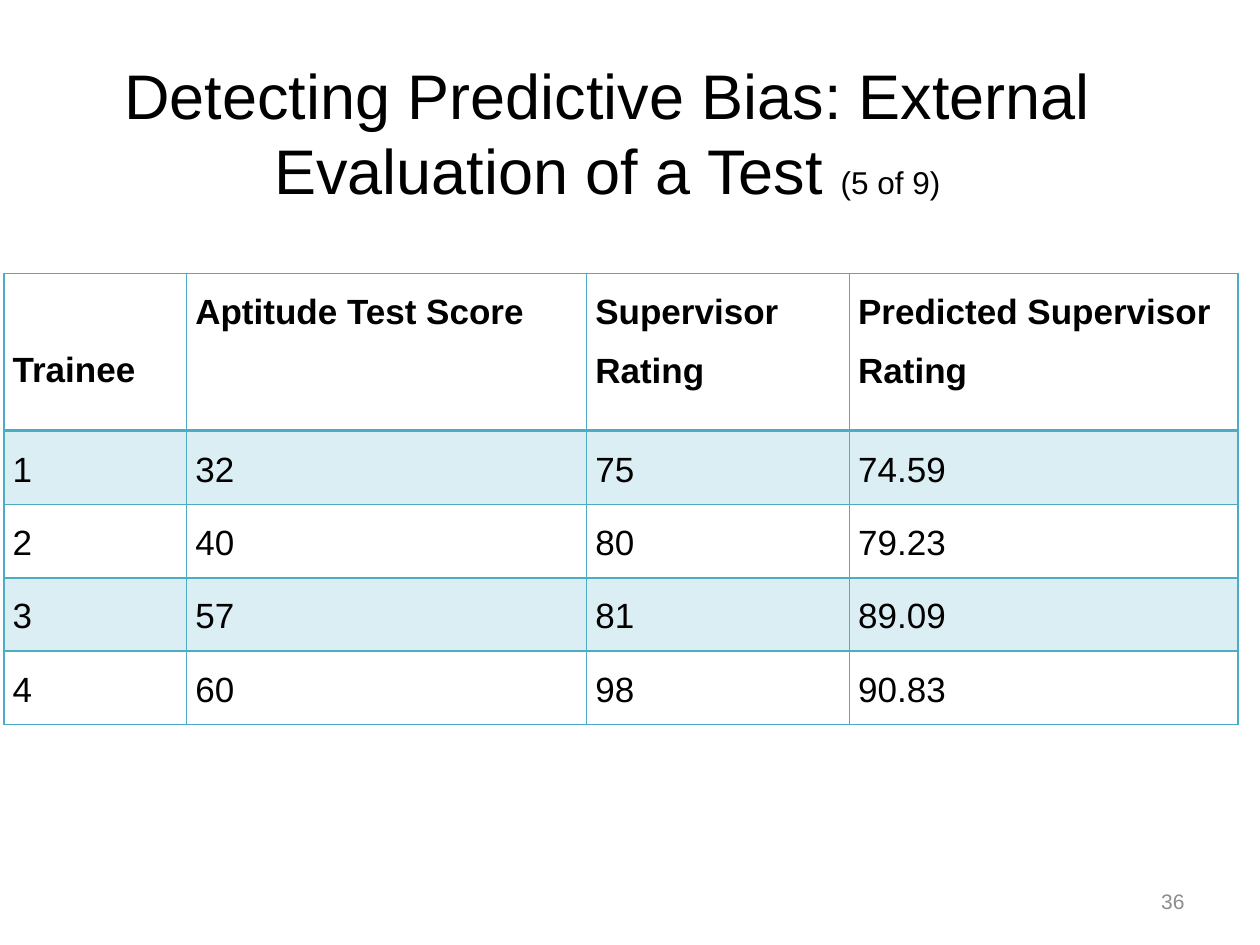
from lxml import etree
from pptx import Presentation
from pptx.dml.color import RGBColor
from pptx.enum.text import MSO_ANCHOR, PP_ALIGN
from pptx.oxml.ns import qn
from pptx.util import Pt

MIDDLE = MSO_ANCHOR.MIDDLE
CENTER, RIGHT = PP_ALIGN.CENTER, PP_ALIGN.RIGHT
BLACK, GREY, TEAL = "000000", "8C8C8C", "4BACC6"

COL_WIDTHS = [104.4, 228.6, 150.2, 222.2]
HEADER_HEIGHT, ROW_HEIGHT = 90, 42
LINE_HEIGHT = 33
ROWS = [
    ["Trainee", "Aptitude Test Score", "Supervisor Rating", "Predicted Supervisor Rating"],
    ["1", "32", "75", "74.59"],
    ["2", "40", "80", "79.23"],
    ["3", "57", "81", "89.09"],
    ["4", "60", "98", "90.83"],
]


def rgb(value):
    return RGBColor.from_string(value)


def apply(obj, values):
    for name, value in values.items():
        setattr(obj, name, value)


def add_run(p, text, size, color=BLACK, bold=False):
    r = p.add_run()
    r.text = text
    apply(r.font, {"name": "Arial", "size": Pt(size), "bold": bold})
    r.font.color.rgb = rgb(color)


def add_text(s, box, align, runs):
    tf = s.shapes.add_textbox(*map(Pt, box)).text_frame
    apply(tf, {"word_wrap": True, "vertical_anchor": MIDDLE})
    p = tf.paragraphs[0]
    p.alignment = align
    for run in runs:
        add_run(p, *run)


def add_borders(cell, widths):
    tc_pr = cell._tc.get_or_add_tcPr()
    for side, width in widths.items():
        ln = etree.SubElement(tc_pr, qn(f"a:ln{side}"), w=str(Pt(width)))
        fill = etree.SubElement(ln, qn("a:solidFill"))
        etree.SubElement(fill, qn("a:srgbClr"), val=TEAL)


def tint(cell, percent):
    cell.fill.solid()
    cell.fill.fore_color.rgb = rgb(TEAL)
    color = cell._tc.tcPr.find(f"{qn('a:solidFill')}/{qn('a:srgbClr')}")
    etree.SubElement(color, qn("a:alpha"), val=str(percent * 1000))


def add_title(s, box):
    add_text(s, box, CENTER, [
        ("Detecting Predictive Bias: External Evaluation of a Test ", 36),
        ("(5 of 9)", 18),
    ])


def add_ratings_table(s, box):
    table = s.shapes.add_table(len(ROWS), len(COL_WIDTHS), *map(Pt, box)).table
    table.horz_banding = False
    for column, width in zip(table.columns, COL_WIDTHS):
        column.width = Pt(width)
    for i, values in enumerate(ROWS):
        header = i == 0
        table.rows[i].height = Pt(HEADER_HEIGHT if header else ROW_HEIGHT)
        for j, value in enumerate(values):
            cell = table.cell(i, j)
            lowered = header and j == 0
            apply(cell, {
                "margin_left": Pt(5), "margin_right": Pt(5),
                "margin_top": Pt(LINE_HEIGHT if lowered else 0), "margin_bottom": Pt(0),
            })
            p = cell.text_frame.paragraphs[0]
            apply(p, {"line_spacing": 1.5, "space_after": Pt(0 if header else 12)})
            add_run(p, value, 20, bold=header)
            add_borders(cell, {"L": 1, "R": 1, "T": 2 if i == 1 else 1, "B": 2 if header else 1})
            if i % 2:
                tint(cell, 20)
            else:
                cell.fill.background()


def add_slide_number(s, box):
    add_text(s, box, RIGHT, [("36", 12, GREY)])


def main():
    prs = Presentation()
    apply(prs, {"slide_width": Pt(720), "slide_height": Pt(540)})
    s = prs.slides.add_slide(prs.slide_layouts[6])
    add_title(s, (2.2, 30.2, 689.8, 90))
    table_height = HEADER_HEIGHT + ROW_HEIGHT * (len(ROWS) - 1)
    add_ratings_table(s, (2.2, 156.2, sum(COL_WIDTHS), table_height))
    add_slide_number(s, (648, 500.4, 36, 28.8))
    prs.save("out.pptx")


if __name__ == "__main__":
    main()
